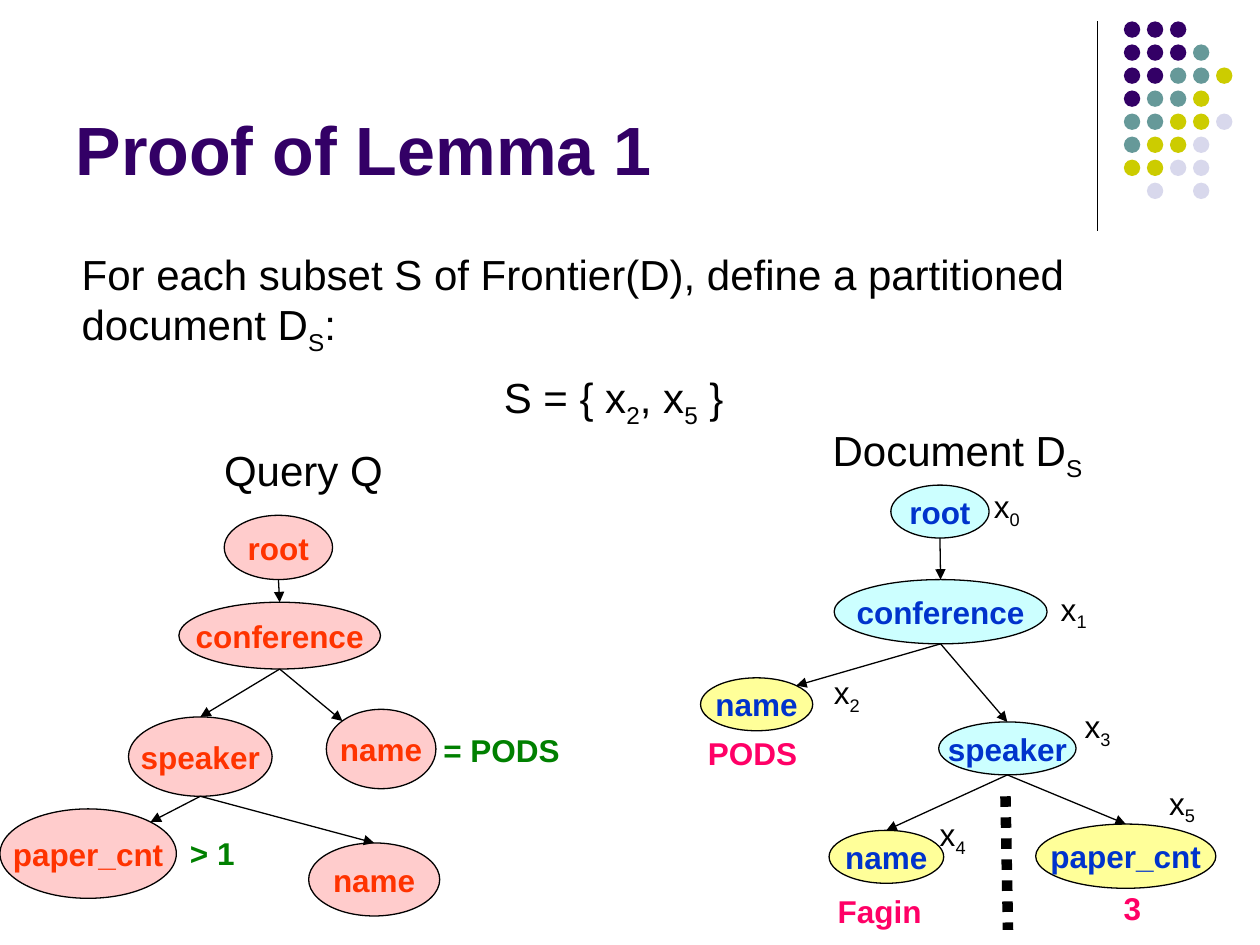
from math import sqrt

from lxml.etree import SubElement
from pptx import Presentation
from pptx.dml.color import RGBColor
from pptx.enum.dml import MSO_LINE
from pptx.enum.shapes import MSO_CONNECTOR, MSO_SHAPE
from pptx.enum.text import MSO_ANCHOR, PP_ALIGN
from pptx.oxml.ns import qn
from pptx.util import Inches, Pt

BLACK = RGBColor(0x00, 0x00, 0x00)
PURPLE = RGBColor(0x33, 0x00, 0x66)
TEAL = RGBColor(0x66, 0x99, 0x99)
OLIVE = RGBColor(0xCC, 0xCC, 0x00)
LAVENDER = RGBColor(0xD8, 0xD8, 0xEC)
PINK = RGBColor(0xFF, 0xCC, 0xCC)
CYAN = RGBColor(0xCC, 0xFF, 0xFF)
YELLOW = RGBColor(0xFF, 0xFF, 0x99)
ORANGE = RGBColor(0xFF, 0x33, 0x00)
BLUE = RGBColor(0x00, 0x33, 0xCC)
GREEN = RGBColor(0x00, 0x80, 0x00)
MAGENTA = RGBColor(0xFF, 0x00, 0x66)

DOT_COLORS = {"p": PURPLE, "t": TEAL, "o": OLIVE, "l": LAVENDER}
DOT_ROWS = ["ppp", "pppt", "pptto", "ptto", "ttool", "tool", "ooll", ".l.l"]

# Each node: key, label, fill, (left, top, width, height)
QUERY_NODES = [
    ("root", "root", PINK, (1.78, 4.09, 0.86, 0.51)),
    ("conference", "conference", PINK, (1.42, 4.78, 1.6, 0.53)),
    ("speaker", "speaker", PINK, (1.02, 5.69, 1.14, 0.63)),
    ("conference name", "name", PINK, (2.59, 5.63, 0.87, 0.63)),
    ("paper count", "paper_cnt", PINK, (0, 6.42, 1.4, 0.71)),
    ("speaker name", "name", PINK, (2.45, 6.69, 1.04, 0.58)),
]
DOCUMENT_NODES = [
    ("root", "root", CYAN, (7.07, 3.85, 0.78, 0.42)),
    ("conference", "conference", CYAN, (6.62, 4.6, 1.69, 0.51)),
    ("conference name", "name", YELLOW, (5.56, 5.38, 0.89, 0.42)),
    ("speaker", "speaker", CYAN, (7.45, 5.73, 1.09, 0.42)),
    ("speaker name", "name", YELLOW, (6.58, 6.59, 0.91, 0.42)),
    ("paper count", "paper_cnt", YELLOW, (8.22, 6.54, 1.43, 0.51)),
]
EDGES = [
    ("root", "conference"),
    ("conference", "speaker"),
    ("conference", "conference name"),
    ("speaker", "speaker name"),
    ("speaker", "paper count"),
]
# Side of the child on which an arrow lands, where it is not the top: -1 left, 1 right
QUERY_SIDES = {"conference name": -1, "paper count": 1}
DOCUMENT_SIDES = {"conference name": 1}

HEADINGS = [
    ("For each subset S of Frontier(D), define a partitioned document D~S~:",
     (0.55, 1.92, 8.36, 0.96)),
    ("S = { x~2~, x~5~ }", (3.9, 2.9, 2.18, 0.56)),
    ("Query Q", (1.68, 3.48, 1.75, 0.5)),
    ("Document D~S~", (6.51, 3.32, 2.68, 0.56)),
]
VALUES = [
    ("= PODS", GREEN, (3.42, 5.75, 1.19, 0.4)),
    ("> 1", GREEN, (1.41, 6.57, 0.57, 0.4)),
    ("PODS", MAGENTA, (5.52, 5.78, 0.92, 0.4)),
    ("Fagin", MAGENTA, (6.55, 7.03, 1.17, 0.4)),
    ("3", MAGENTA, (8.82, 7.01, 0.67, 0.4)),
]
INDEX_SPOTS = [(7.79, 3.82), (8.32, 4.63), (6.52, 5.29),
               (8.51, 5.56), (7.36, 6.42), (9.18, 6.17)]


def inches(values):
    return [Inches(v) for v in values]


def landing_point(box, side):
    """Top of an ellipse, or its upper diagonal point on the given side."""
    left, top, width, height = box
    reach = 1 / sqrt(2) if side else 1
    return (left + width / 2 * (1 + side * reach), top + height / 2 * (1 - reach))


class SlideBuilder:
    font_name = "Arial"
    line_width = 0.75

    def __init__(self, slide):
        self.slide = slide
        self.shapes = slide.shapes

    def add_runs(self, tf, text, **font):
        """Fill a text frame; parts between tildes become subscripts."""
        p = tf.paragraphs[0]
        for i, part in enumerate(text.split("~")):
            if not part:
                continue
            r = p.add_run()
            r.text = part
            self.style(r.font, **font)
            if i % 2:
                r._r.get_or_add_rPr().set("baseline", "-25000")
        return p

    def style(self, target, size, color, bold=False):
        for name, value in {"name": self.font_name, "size": Pt(size), "bold": bold}.items():
            setattr(target, name, value)
        target.color.rgb = color

    def title(self, text, box):
        sp = self.shapes.title
        sp.left, sp.top, sp.width, sp.height = inches(box)
        sp.text_frame.vertical_anchor = MSO_ANCHOR.BOTTOM
        p = self.add_runs(sp.text_frame, text, size=39, color=PURPLE, bold=True)
        p.alignment = PP_ALIGN.LEFT

    def text(self, text, box, **font):
        tf = self.shapes.add_textbox(*inches(box)).text_frame
        tf.word_wrap = True
        self.add_runs(tf, text, **font)

    def ellipse(self, box, fill, outline=None):
        sp = self.shapes.add_shape(MSO_SHAPE.OVAL, *inches(box))
        sp.shadow.inherit = False
        sp.fill.solid()
        sp.fill.fore_color.rgb = fill
        if outline is None:
            sp.line.fill.background()
        else:
            sp.line.color.rgb = outline
            sp.line.width = Pt(self.line_width)
        return sp

    def node(self, label, box, fill, color):
        tf = self.ellipse(box, fill, BLACK).text_frame
        tf.word_wrap = False
        tf.vertical_anchor = MSO_ANCHOR.MIDDLE
        p = self.add_runs(tf, label, size=18, color=color, bold=True)
        p.alignment = PP_ALIGN.CENTER

    def line(self, start, end, width=line_width, arrow=False, dash=None):
        cx = self.shapes.add_connector(MSO_CONNECTOR.STRAIGHT, *inches(start + end))
        cx.line.color.rgb = BLACK
        cx.line.width = Pt(width)
        if dash is not None:
            cx.line.dash_style = dash
        if arrow:
            SubElement(cx.get_or_add_ln(), qn("a:tailEnd"), type="triangle")
        SubElement(cx._element.spPr, qn("a:effectLst"))

    def tree(self, nodes, sides, color):
        boxes = {}
        for key, label, fill, box in nodes:
            boxes[key] = box
            self.node(label, box, fill, color)
        for parent, child in EDGES:
            left, top, width, height = boxes[parent]
            self.line((left + width / 2, top + height),
                      landing_point(boxes[child], sides.get(child, 0)), arrow=True)

    def dot_pattern(self, left, top, pitch, size):
        for row, codes in enumerate(DOT_ROWS):
            for col, code in enumerate(codes):
                if code in DOT_COLORS:
                    self.ellipse((left + col * pitch, top + row * pitch, size, size),
                                 DOT_COLORS[code])


def main():
    prs = Presentation()
    prs.slide_width, prs.slide_height = Inches(10), Inches(7.5)
    s = SlideBuilder(prs.slides.add_slide(prs.slide_layouts[5]))

    s.line((8.71, 0.17), (8.71, 1.83))
    s.dot_pattern(8.92, 0.17, pitch=1.28 / 7, size=0.13)
    s.title("Proof of Lemma 1", (0.5, 0.13, 8.25, 1.42))
    for text, box in HEADINGS:
        s.text(text, box, size=24, color=BLACK)

    s.tree(QUERY_NODES, QUERY_SIDES, ORANGE)
    s.tree(DOCUMENT_NODES, DOCUMENT_SIDES, BLUE)
    for text, color, box in VALUES:
        s.text(text, box, size=18, color=color, bold=True)
    for i, spot in enumerate(INDEX_SPOTS):
        s.text(f"x~{i}~", spot + (0.58, 0.44), size=18, color=BLACK)
    s.line((7.98, 6.32), (8, 7.38), width=6, dash=MSO_LINE.ROUND_DOT)

    prs.save("out.pptx")


if __name__ == "__main__":
    main()
